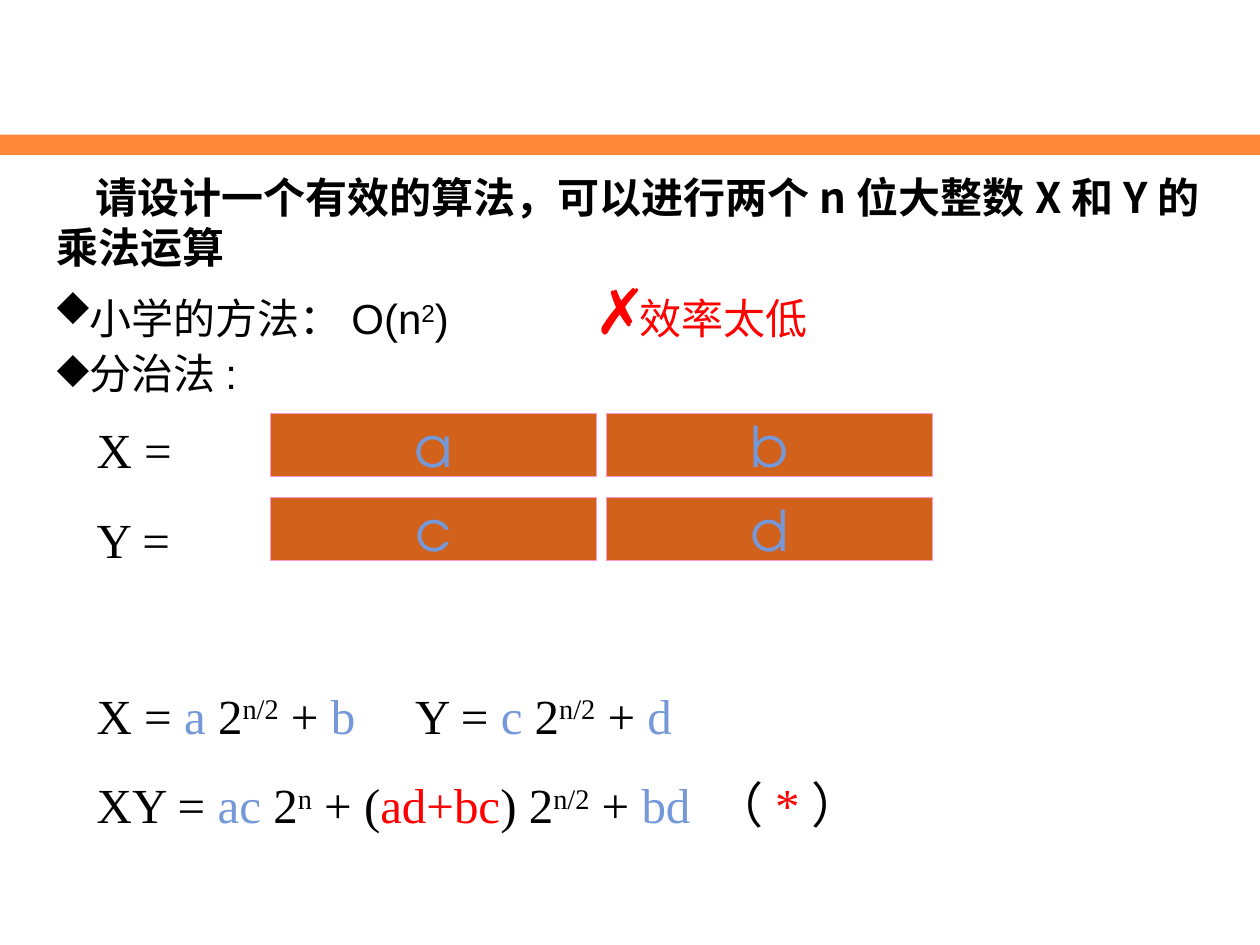
"""Build the slide on divide-and-conquer multiplication of large integers."""
from lxml.etree import SubElement
from pptx import Presentation
from pptx.dml.color import RGBColor
from pptx.enum.shapes import MSO_SHAPE as SHAPE
from pptx.enum.text import MSO_ANCHOR as ANCHOR, PP_ALIGN as ALIGN
from pptx.oxml.ns import qn
from pptx.util import Pt

BLACK, BLUE, RED = "000000", "7598D9", "FF0000"
CJK, SANS, SERIF = "Noto Sans CJK SC", "Arial", "Times New Roman"


def rgb(value):
    return RGBColor.from_string(value)


def add_run(p, text, size, font, color=BLACK, bold=False, sup=False):
    r = p.add_run()
    r.text = text
    r.font.size, r.font.name, r.font.bold = Pt(size), font, bold
    r.font.color.rgb = rgb(color)
    rPr = r.font._element
    SubElement(rPr, qn("a:ea")).set("typeface", CJK)
    if sup:
        rPr.set("baseline", "30000")


prs = Presentation()
prs.slide_width, prs.slide_height = Pt(720), Pt(540)
s = prs.slides.add_slide(prs.slide_layouts[6])

bar = s.shapes.add_shape(SHAPE.RECTANGLE, Pt(0), Pt(77), Pt(720), Pt(11.5))
bar.shadow.inherit = False
bar.fill.solid()
bar.fill.fore_color.rgb = rgb("FE8637")
bar.line.fill.background()

tf = s.shapes.add_textbox(Pt(25.2), Pt(94.3), Pt(680.4), Pt(64.8)).text_frame
tf.word_wrap = True
p = tf.paragraphs[0]
p._p.get_or_add_pPr().set("indent", str(Pt(22.5)))
add_run(p, "请设计一个有效的算法，可以进行两个n位大整数X和Y的乘法运算", 24, CJK, bold=True)

methods = [
    [("小学的方法：O(n", 24, BLACK, False, False), ("2", 24, BLACK, False, True),
     (")\t", 24, BLACK, False, False), ("✗", 36, RED, True, False),
     ("效率太低", 24, RED, False, False)],
    [("分治法:", 24, BLACK, False, False)],
]
tf = s.shapes.add_textbox(Pt(25.5), Pt(151.9), Pt(460), Pt(79.2)).text_frame
tf.word_wrap = True
for i, runs in enumerate(methods):
    p = tf.add_paragraph() if i else tf.paragraphs[0]
    pPr = p._p.get_or_add_pPr()
    pPr.set("marL", str(Pt(18.5)))
    pPr.set("indent", str(-Pt(18.5)))
    SubElement(SubElement(pPr, qn("a:buClr")), qn("a:srgbClr")).set("val", BLACK)
    SubElement(pPr, qn("a:buChar")).set("char", "◆")
    tab = SubElement(SubElement(pPr, qn("a:tabLst")), qn("a:tab"))
    tab.set("pos", str(Pt(307)))
    tab.set("algn", "l")
    for text, size, color, bold, sup in runs:
        add_run(p, text, size, SANS, color, bold, sup)

for i, half in enumerate("abcd"):
    row, col = divmod(i, 2)
    box = s.shapes.add_shape(SHAPE.RECTANGLE, Pt(154.8 + 192 * col), Pt(236.2 + 48 * row),
                             Pt(186), Pt(36))
    box.shadow.inherit = False
    box.fill.solid()
    box.fill.fore_color.rgb = rgb("D2611C")
    box.line.color.rgb = rgb("FF99CC")
    box.line.width = Pt(0.75)
    tf = box.text_frame
    tf.word_wrap = False
    tf.vertical_anchor = ANCHOR.MIDDLE
    p = tf.paragraphs[0]
    p.alignment = ALIGN.CENTER
    add_run(p, half, 32, "TeX Gyre Adventor", BLUE)

formulas = [
    (0, [("X =", BLACK)]),
    (17.5, [("Y =", BLACK)]),
    (67.2, [("X = ", BLACK), ("a", BLUE), (" 2", BLACK), ("n/2", BLACK, True), (" + ", BLACK),
            ("b", BLUE), ("\tY = ", BLACK), ("c", BLUE), (" 2", BLACK), ("n/2", BLACK, True),
            (" + ", BLACK), ("d", BLUE)]),
    (17.5, [("XY = ", BLACK), ("ac", BLUE), (" 2", BLACK), ("n", BLACK, True), (" + (", BLACK),
            ("ad+bc", RED), (") 2", BLACK), ("n/2", BLACK, True), (" + ", BLACK),
            ("bd ", BLUE), ("（", BLACK), ("*", RED), ("）", BLACK)]),
]
tf = s.shapes.add_textbox(Pt(48.2), Pt(236.2), Pt(671.8), Pt(245.5)).text_frame
tf.word_wrap = True
for i, (before, runs) in enumerate(formulas):
    p = tf.add_paragraph() if i else tf.paragraphs[0]
    tab = SubElement(SubElement(p._p.get_or_add_pPr(), qn("a:tabLst")), qn("a:tab"))
    tab.set("pos", str(Pt(182)))
    tab.set("algn", "l")
    p.space_before = Pt(before)
    for text, color, *sup in runs:
        add_run(p, text, 28, SERIF, color, sup=bool(sup))

prs.save("out.pptx")
